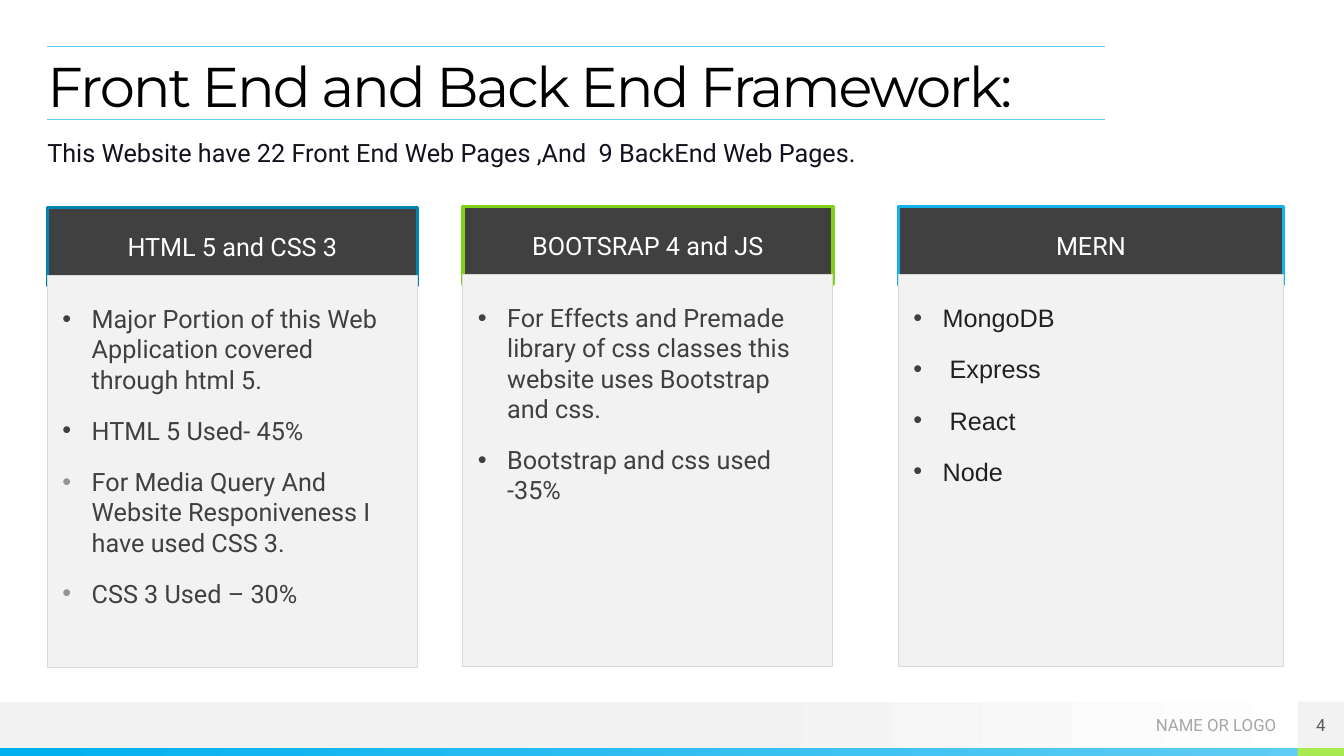
from lxml.etree import SubElement
from pptx import Presentation
from pptx.dml.color import RGBColor
from pptx.enum.shapes import MSO_CONNECTOR, MSO_SHAPE
from pptx.enum.text import MSO_ANCHOR, MSO_AUTO_SIZE, PP_ALIGN
from pptx.oxml.ns import qn
from pptx.util import Pt

PX = 9144
HUES = {
    "black": "000000", "white": "FFFFFF", "ink": "12121E", "dark": "404040",
    "coal": "202124", "mid": "595959", "grey": "A6A6A6", "dot": "949494",
    "edge": "D9D9D9", "pale": "F2F2F2", "sky": "5ECCF3", "azure": "00B0F0",
    "teal": "0084B4", "cyan": "12B2EB", "green": "81D31A", "lime": "A7EA52",
}
LEFT, MID, RIGHT = PP_ALIGN.LEFT, PP_ALIGN.CENTER, PP_ALIGN.RIGHT
TOP, HALF = MSO_ANCHOR.TOP, MSO_ANCHOR.MIDDLE


def apply(obj, form):
    """Set every attribute named in the format dict."""
    for name, value in form.items():
        setattr(obj, name, value)


def hue(name):
    """Look up a named colour."""
    return RGBColor.from_string(HUES[name])


class Deck:
    """Draw styled elements on the current slide."""

    def __init__(self, wide, high):
        """Open a deck with one title-only slide."""
        self.show = Presentation()
        apply(self.show, {"slide_width": wide * PX, "slide_height": high * PX})
        self.slide = self.show.slides.add_slide(self.show.slide_layouts[5])
        self.shapes = self.slide.shapes
        self.font = "Roboto"

    def label(self, shape, lines, ink, size=18, font=None, align=LEFT,
              anchor=TOP, pad=(0, 0, 0, 0), after=0, dots=()):
        """Fill a shape with paragraphs, bulleted where dots are given."""
        frame = shape.text_frame
        sides = ("margin_left", "margin_top", "margin_right", "margin_bottom")
        apply(frame, {"word_wrap": True, "auto_size": MSO_AUTO_SIZE.NONE,
                      "vertical_anchor": anchor})
        apply(frame, {side: gap * PX for side, gap in zip(sides, pad)})
        for i, line in enumerate(lines):
            para = frame.add_paragraph() if i else frame.paragraphs[0]
            apply(para, {"alignment": align, "space_after": Pt(after),
                         "space_before": Pt(10 if i else 0)})
            if dots:
                self.dot(para, dots[i])
            run = para.add_run()
            run.text = line
            apply(run.font, {"name": font or self.font, "size": Pt(size)})
            run.font.color.rgb = hue(ink)
        return frame

    def dot(self, para, tint):
        """Give a paragraph a hanging bullet."""
        props = para._p.get_or_add_pPr()
        props.set("marL", str(29 * PX))
        props.set("indent", str(-29 * PX))
        SubElement(SubElement(props, qn("a:buClr")), qn("a:srgbClr"), val=HUES[tint])
        SubElement(props, qn("a:buFont"), typeface="Arial")
        SubElement(props, qn("a:buChar"), char="•")

    def title(self, box, text):
        """Place and format the title."""
        shape = self.shapes.title
        apply(shape, dict(zip(("left", "top", "width", "height"), [n * PX for n in box])))
        para = self.label(shape, [text], "black", 40, "Montserrat").paragraphs[0]
        para.line_spacing = 0.9
        para.runs[0].font._element.set("spc", "-150")

    def text(self, box, line, ink, **form):
        """Add a text box."""
        self.label(self.shapes.add_textbox(*[n * PX for n in box]), [line], ink, **form)

    def rect(self, box, fill, edge=None, width=0):
        """Add a flat rectangle."""
        shape = self.shapes.add_shape(MSO_SHAPE.RECTANGLE, *[n * PX for n in box])
        shape.shadow.inherit = False
        shape.fill.solid()
        shape.fill.fore_color.rgb = hue(fill)
        if edge:
            shape.line.color.rgb = hue(edge)
            shape.line.width = Pt(width)
        else:
            shape.line.fill.background()
        return shape

    def fade(self, box, first, last, start=0):
        """Add a rectangle that shades from left to right."""
        fill = self.rect(box, first).fill
        fill.gradient()
        fill.gradient_angle = 0
        for stop, tint, place in zip(fill.gradient_stops, (first, last), (start, 1)):
            stop.color.rgb = hue(tint)
            stop.position = place

    def rule(self, left, right, y):
        """Add a thin level line."""
        ends = [n * PX for n in (left, y, right, y)]
        line = self.shapes.add_connector(MSO_CONNECTOR.STRAIGHT, *ends)
        line.line.color.rgb = hue("sky")
        line.line.width = Pt(0.5)
        SubElement(line._element.spPr, qn("a:effectLst"))

    def card(self, left, top, wide, edge, head, items, ink, dots, font=None):
        """Add a headed card with a bullet list."""
        cap = self.rect((left, top, wide, 77), "dark", edge, 2.5)
        self.label(cap, [head], "white", align=MID, anchor=HALF,
                   pad=(12, 4, 12, 4), after=5)
        body = self.rect((left, top + 67, wide, 389), "pale", "edge", 0.75)
        self.label(body, items, ink, font=font, pad=(15, 28, 15, 0), after=5, dots=dots)


CARDS = [
    (47, 206, 367, "teal", "HTML 5 and CSS 3", [
        "Major Portion of this Web Application covered through html 5.",
        "HTML 5 Used- 45%",
        "For Media Query And Website Responiveness I have used CSS 3.",
        "CSS 3 Used – 30%",
    ], "dark", ["dark"] * 2 + ["dot"] * 2),
    (891, 205, 382, "cyan", "MERN", ["MongoDB", " Express", " React", "Node"],
     "coal", ["dark"] * 4, "Arial"),
    (459, 205, 367, "green", "BOOTSRAP 4 and JS", [
        "For Effects and Premade library of css classes this website uses Bootstrap and css.",
        "Bootstrap and css used -35%",
    ], "dark", ["dark"] * 2),
]


def main():
    """Build and save the slide."""
    deck = Deck(1333, 750)
    deck.fade((0, 696, 1333, 46), "pale", "white", 0.53)
    deck.fade((0, 742, 1287, 8), "azure", "sky")
    deck.rect((1287, 742, 46, 8), "lime")
    deck.text((1042, 696, 224, 47), "NAME OR LOGO", "grey", size=12,
              align=RIGHT, anchor=HALF)
    deck.title((47, 59, 1240, 47), "Front End and Back End Framework:")
    deck.text((47, 136, 1240, 39),
              "This Website have 22 Front End Web Pages ,And  9 BackEnd Web Pages.",
              "ink", after=5)
    for card in CARDS:
        deck.card(*card)
    deck.label(deck.rect((1287, 696, 46, 46), "pale"), ["4"], "mid", 12,
               align=MID, anchor=HALF)
    for y in (118, 46):
        deck.rule(47, 1096, y)
    deck.show.save("out.pptx")


if __name__ == "__main__":
    main()
